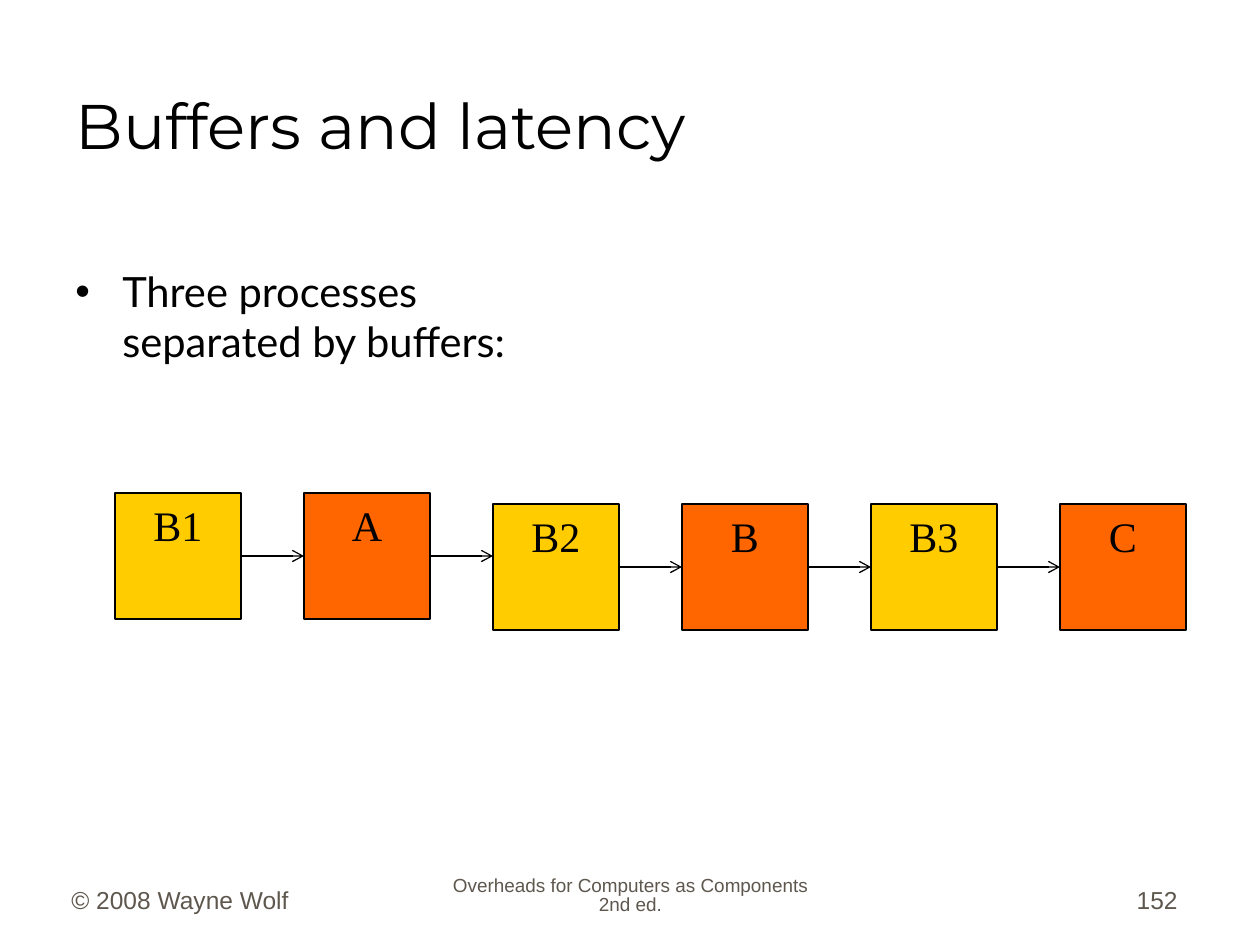
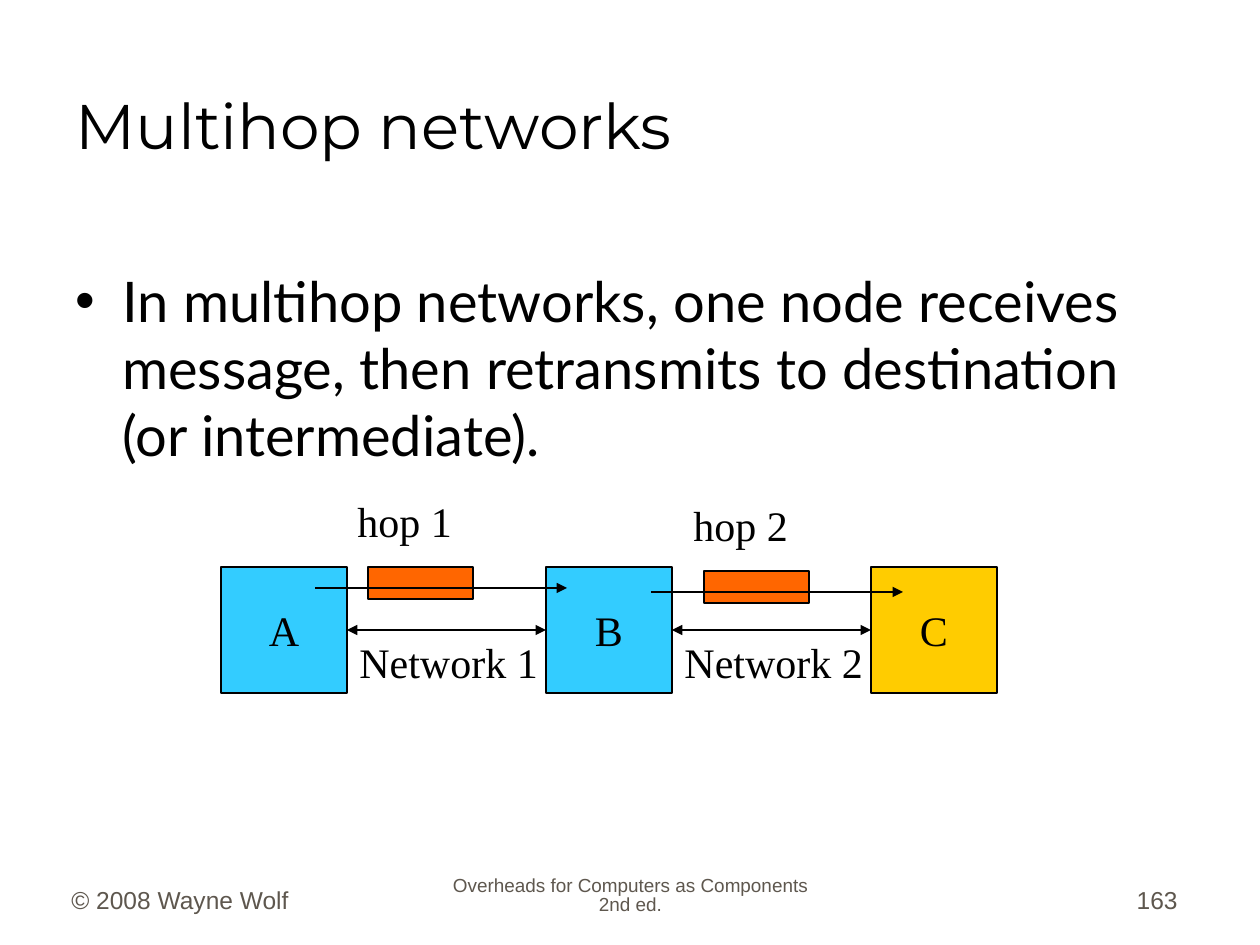
from itertools import pairwise

from lxml.etree import SubElement
from pptx import Presentation
from pptx.dml.color import RGBColor
from pptx.enum.shapes import MSO_CONNECTOR, MSO_SHAPE
from pptx.enum.text import MSO_ANCHOR, PP_ALIGN
from pptx.oxml.ns import qn
from pptx.util import Inches, Pt

PX = Inches(1) / 126
TITLE_ONLY = 5
LEFT, RIGHT = 1, 3  # connection sites
COLORS = {
    "ink": "000000",
    "footer": "5E574E",
    "yellow": "FFCC00",
    "orange": "FF6600",
    "blue": "33CCFF",
}
TITLE_FONT, BODY_FONT, FOOTER_FONT, DIAGRAM_FONT = "Montserrat", "Lato", "Arial", "Times New Roman"
NODE = 126  # side of every square node


def px(*lengths):
    return [round(length * PX) for length in lengths]


def rgb(name):
    return RGBColor.from_string(COLORS[name])


def write(frame, text, size, font, color="ink", align=PP_ALIGN.LEFT, anchor=MSO_ANCHOR.TOP, wrap=True):
    frame.word_wrap = wrap
    frame.vertical_anchor = anchor
    paragraph = frame.paragraphs[0]
    paragraph.text = text
    paragraph.alignment = align
    paragraph.font.size = Pt(size)
    paragraph.font.name = font
    paragraph.font.color.rgb = rgb(color)
    return paragraph


def add_text(shapes, box, text, size, font, **style):
    return write(shapes.add_textbox(*px(*box)).text_frame, text, size, font, **style)


def add_rectangle(shapes, box, fill):
    rectangle = shapes.add_shape(MSO_SHAPE.RECTANGLE, *px(*box))
    rectangle.shadow.inherit = False
    rectangle.fill.solid()
    rectangle.fill.fore_color.rgb = rgb(fill)
    rectangle.line.color.rgb = rgb("ink")
    rectangle.line.width = Pt(0.75)
    return rectangle


def add_node(shapes, left, top, label, fill, **style):
    node = add_rectangle(shapes, (left, top, NODE, NODE), fill)
    write(node.text_frame, label, 24, DIAGRAM_FONT, align=PP_ALIGN.CENTER, **style)
    return node


def add_arrow(shapes, start, end, tail, head=None):
    arrow = shapes.add_connector(MSO_CONNECTOR.STRAIGHT, *px(*start, *end))
    arrow.line.color.rgb = rgb("ink")
    arrow.line.width = Pt(0.75)
    properties = arrow._element.spPr
    outline = properties.find(qn("a:ln"))
    if head:
        SubElement(outline, qn("a:headEnd"), type=head)
    SubElement(outline, qn("a:tailEnd"), type=tail)
    SubElement(properties, qn("a:effectLst"))
    return arrow


def add_bullet(slide, box, text, size):
    frame = slide.shapes.add_textbox(*px(*box)).text_frame
    properties = frame.paragraphs[0]._p.get_or_add_pPr()
    indent = px(47)[0]
    properties.set("marL", str(indent))
    properties.set("indent", str(-indent))
    SubElement(properties, qn("a:buFont"), typeface="Arial")
    SubElement(properties, qn("a:buChar"), char="•")
    write(frame, text, size, BODY_FONT)


def add_footer(slide, number):
    top, height = 858, 63
    style = dict(color="footer", anchor=MSO_ANCHOR.BOTTOM)
    add_text(slide.shapes, (59, top, 262, height), "© 2008 Wayne Wolf", 14, FOOTER_FONT, **style)
    source = add_text(slide.shapes, (431, top, 399, height), "Overheads for Computers as Components 2nd ed.",
                      10.8, FOOTER_FONT, align=PP_ALIGN.CENTER, **style)
    source.line_spacing = 0.8
    add_text(slide.shapes, (928, top, 262, height), str(number), 14, FOOTER_FONT,
             align=PP_ALIGN.RIGHT, **style)


def start_slide(deck, title, number):
    slide = deck.slides.add_slide(deck.slide_layouts[TITLE_ONLY])
    heading = slide.shapes.title
    heading.left, heading.top, heading.width, heading.height = px(63, 32, 1124, 136)
    write(heading.text_frame, title, 36, TITLE_FONT, anchor=MSO_ANCHOR.BOTTOM)
    add_footer(slide, number)
    return slide


def add_buffer_chain(slide, left, top):
    """Buffers alternate with processes; the chain steps down after process A."""
    pitch, drop = 189, 11
    stages = []
    for i, label in enumerate(["B1", "A", "B2", "B", "B3", "C"]):
        stage_top = top if i < 2 else top + drop
        fill = "orange" if i % 2 else "yellow"
        stages.append(add_node(slide.shapes, left + i * pitch, stage_top, label, fill))

    for i, (source, target) in enumerate(pairwise(stages)):
        middle = (top if i < 2 else top + drop) + NODE // 2
        x = left + i * pitch + NODE
        arrow = add_arrow(slide.shapes, (x, middle), (x + pitch - NODE, middle), "arrow")
        arrow.begin_connect(source, RIGHT)
        if source.top == target.top:  # keep the arrow level at the step
            arrow.end_connect(target, LEFT)


def add_hop(slide, left, top, label):
    hop = slide.shapes.add_group_shape().shapes
    add_rectangle(hop, (left + 53, top + 78, 105, 32), "orange")
    add_arrow(hop, (left, top + 99), (left + 252, top + 99), "triangle")
    add_text(hop, (left + 30, top, 120, 63), label, 24, DIAGRAM_FONT, wrap=False)


def add_network(slide, left, top):
    pitch, middle = 325, top + NODE // 2
    nodes = [
        add_node(slide.shapes, left + i * pitch, top, label, fill, anchor=MSO_ANCHOR.MIDDLE, wrap=False)
        for i, (label, fill) in enumerate([("A", "blue"), ("B", "blue"), ("C", "yellow")])
    ]

    # Links between neighbours, with their names below
    for i, (source, target) in enumerate(pairwise(nodes)):
        x = left + i * pitch + NODE
        link = add_arrow(slide.shapes, (x, middle), (x + pitch - NODE, middle), "triangle", "triangle")
        link.begin_connect(source, RIGHT)
        link.end_connect(target, LEFT)
        add_text(slide.shapes, (x, middle, 220, 63), f"Network {i + 1}", 24, DIAGRAM_FONT)

    # Messages travelling over each link
    for i in range(2):
        add_hop(slide, left + 94 + i * 336, top - 78 + i * 4, f"hop {i + 1}")


def buffers_slide(deck):
    slide = start_slide(deck, "Buffers and latency", 152)
    add_bullet(slide, (63, 260, 553, 118), "Three processes separated by buffers:", 23.8)
    add_buffer_chain(slide, 115, 493)


def multihop_slide(deck):
    slide = start_slide(deck, "Multihop networks", 163)
    add_bullet(slide, (63, 260, 1126, 233),
               "In multihop networks, one node receives message, "
               "then retransmits to destination (or intermediate).", 32)
    add_network(slide, 221, 567)


def main():
    deck = Presentation()
    deck.slide_width, deck.slide_height = px(1260, 945)
    buffers_slide(deck)
    multihop_slide(deck)
    deck.save("out.pptx")


if __name__ == "__main__":
    main()
